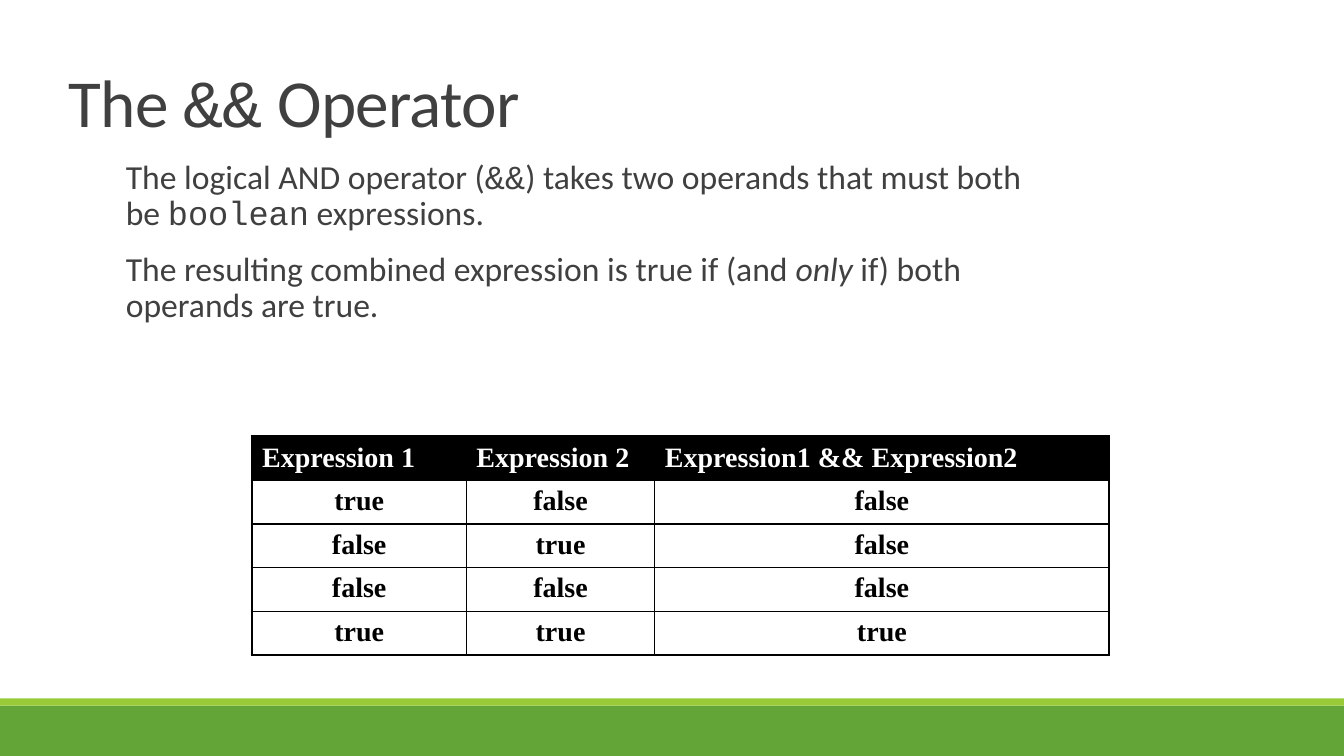
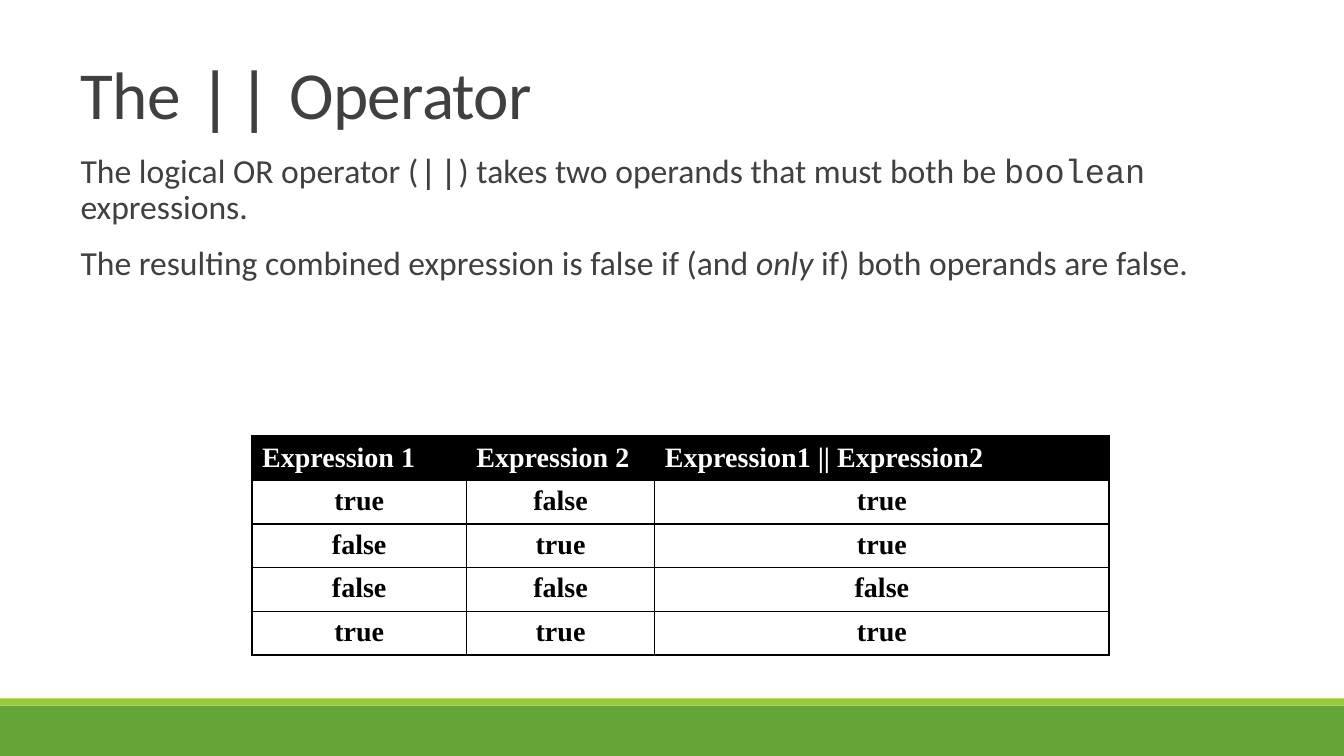
from lxml.etree import SubElement
from pptx import Presentation
from pptx.dml.color import RGBColor
from pptx.enum.shapes import MSO_SHAPE as SHAPE
from pptx.enum.text import MSO_ANCHOR as ANCHOR, MSO_AUTO_SIZE as AUTO, PP_ALIGN as ALIGN
from pptx.oxml.ns import qn
from pptx.util import Inches, Pt

WIDTH, HEIGHT = 13.33, 7.5
GREEN, LIME, GREY, BLACK, WHITE = "63A537", "99CB38", "404040", "000000", "FFFFFF"
SANS, CODE, SERIF = "Calibri", "Courier New", "Times New Roman"
TABLE_BOX = (2.5, 4.33, 8.5, 2.05)
COLUMN_SHARES = (0.25, 0.22, 0.53)
OUTER, INNER = 2.25, 1
OPERANDS = [("true", "false"), ("false", "true"), ("false", "false"), ("true", "true")]


def rgb(value):
    return RGBColor.from_string(value)


def inches(box):
    return [Inches(v) for v in box]


def write(p, text, size):
    """Fill a paragraph; `backticks` mark code and *stars* mark italics."""
    p.font.size, p.font.name, p.font.color.rgb = Pt(size), SANS, rgb(GREY)
    for i, chunk in enumerate(text.split("`")):
        for j, part in enumerate(chunk.split("*")):
            if part:
                r = p.add_run()
                r.text = part
                r.font.name = CODE if i % 2 else SANS
                if j % 2:
                    r.font.italic = True


def add_bands(s):
    for top, height, color in ((7, 0.5, GREEN), (6.93, 0.07, LIME)):
        sp = s.shapes.add_shape(SHAPE.RECTANGLE, *inches((0, top, WIDTH, height)))
        sp.shadow.inherit = False
        sp.fill.solid()
        sp.fill.fore_color.rgb = rgb(color)
        sp.line.fill.background()


def add_title(s, text, box):
    sp = s.shapes.title
    sp.left, sp.top, sp.width, sp.height = inches(box)
    tf = sp.text_frame
    tf.vertical_anchor, tf.auto_size = ANCHOR.BOTTOM, AUTO.NONE
    p = tf.paragraphs[0]
    p.alignment, p.line_spacing = ALIGN.LEFT, 0.85
    write(p, text, 48)
    for r in p.runs:
        r.font._element.set("spc", "-50")


def add_body(s, texts, box):
    tf = s.shapes.add_textbox(*inches(box)).text_frame
    tf.word_wrap = True
    tf.margin_left, tf.margin_right = Inches(0.1), 0
    for i, text in enumerate(texts):
        p = tf.add_paragraph() if i else tf.paragraphs[0]
        p.line_spacing, p.space_before, p.space_after = 0.9, Pt(12), Pt(2)
        write(p, text, 24)


def set_borders(cell, widths):
    tcPr = cell._tc.get_or_add_tcPr()
    for side, width in zip("LRTB", widths):
        ln = SubElement(tcPr, qn(f"a:ln{side}"), w=str(Pt(width)))
        SubElement(SubElement(ln, qn("a:solidFill")), qn("a:srgbClr"), val=BLACK)


def add_truth_table(s, symbol, results, box):
    rows = [("Expression 1", "Expression 2", f"Expression1 {symbol} Expression2")]
    rows += [(*pair, result) for pair, result in zip(OPERANDS, results)]
    last_row, last_col = len(rows) - 1, len(COLUMN_SHARES) - 1
    table = s.shapes.add_table(len(rows), len(COLUMN_SHARES), *inches(box)).table
    for column, share in zip(table.columns, COLUMN_SHARES):
        column.width = Inches(box[2] * share)
    for i, row in enumerate(rows):
        for j, text in enumerate(row):
            cell = table.cell(i, j)
            on_edge = (j == 0, j == last_col, i == 0, i == last_row)
            set_borders(cell, [OUTER if edge else INNER for edge in on_edge])
            fill, color = (WHITE, BLACK) if i else (BLACK, WHITE)
            cell.fill.solid()
            cell.fill.fore_color.rgb = rgb(fill)
            cell.vertical_anchor = ANCHOR.TOP if i else ANCHOR.MIDDLE
            cell.text = text
            p = cell.text_frame.paragraphs[0]
            p.alignment = ALIGN.CENTER if i else ALIGN.LEFT
            p.font.size, p.font.name, p.font.bold = Pt(20), SERIF, True
            p.font.color.rgb = rgb(color)


def add_operator_slide(prs, symbol, name, outcome, results, title_box, body_box):
    s = prs.slides.add_slide(prs.slide_layouts.get_by_name("Title Only"))
    add_bands(s)
    add_title(s, f"The `{symbol}` Operator", title_box)
    add_body(s, [
        f"The logical {name} operator (`{symbol}`) takes two operands "
        "that must both be `boolean` expressions.",
        f"The resulting combined expression is {outcome} if (and *only* if) "
        f"both operands are {outcome}.",
    ], body_box)
    add_truth_table(s, symbol, results, TABLE_BOX)


def main():
    prs = Presentation()
    prs.slide_width, prs.slide_height = Inches(WIDTH), Inches(HEIGHT)
    add_operator_slide(prs, "&&", "AND", "true", ("false", "false", "false", "true"),
                       (0.58, 0, 11.5, 1.45), (1.15, 1.54, 9.07, 2.42))
    add_operator_slide(prs, "||", "OR", "false", ("true", "true", "false", "true"),
                       (0.7, -0.08, 11.5, 1.45), (0.7, 1.48, 12.18, 2.42))
    prs.save("out.pptx")


if __name__ == "__main__":
    main()
